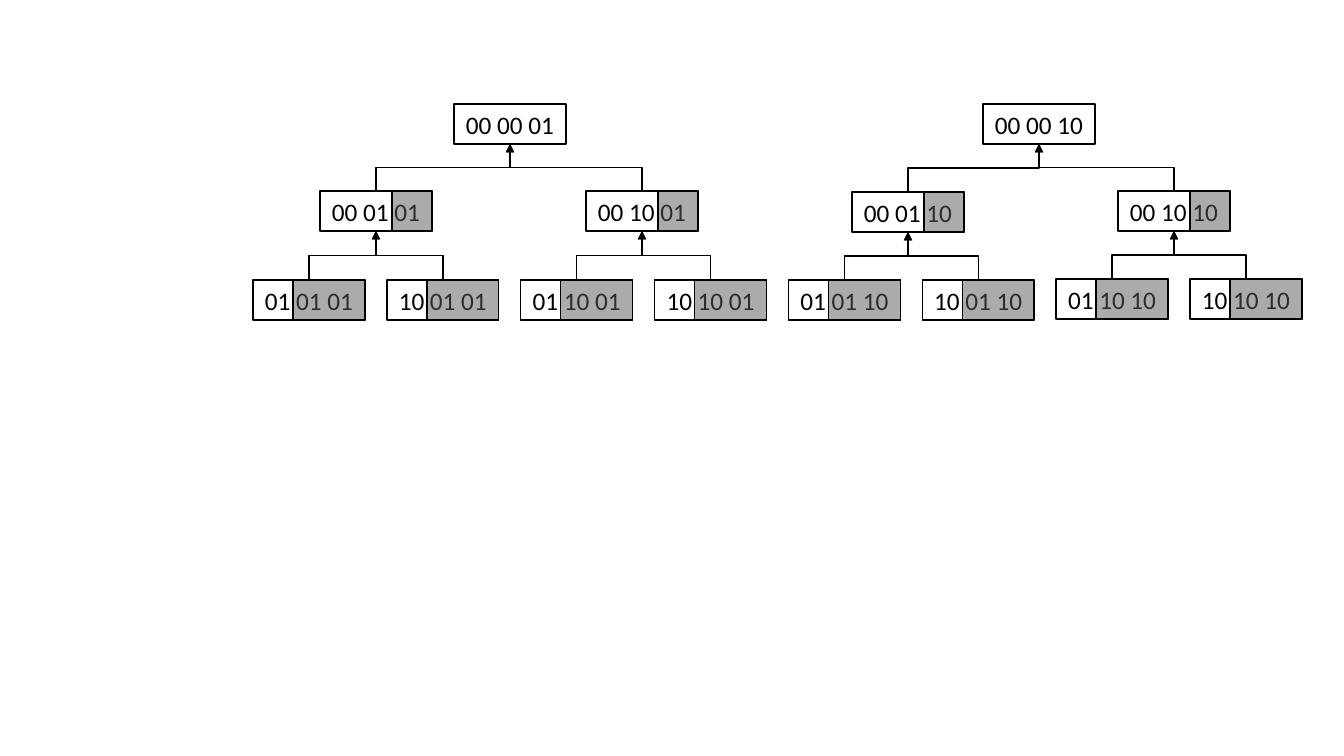
from lxml import etree
from pptx import Presentation
from pptx.dml.color import RGBColor
from pptx.enum.shapes import MSO_CONNECTOR, MSO_SHAPE
from pptx.enum.text import MSO_ANCHOR, PP_ALIGN
from pptx.oxml.ns import qn
from pptx.util import Pt

RECTANGLE = MSO_SHAPE.RECTANGLE
ELBOW = MSO_CONNECTOR.ELBOW
MIDDLE = MSO_ANCHOR.MIDDLE
CENTER = PP_ALIGN.CENTER

# Content: tree levels from roots to leaves
COLORS = {"ink": "000000", "paper": "FFFFFF", "shade": "595959"}
LEVELS = [
    {"labels": ["00 00 01", "00 00 10"],
     "first": 454, "last": 983, "tops": [104] * 2, "shade": 0},
    {"labels": ["00 01 01", "00 10 01", "00 01 10", "00 10 10"],
     "first": 320, "last": 1118, "tops": [191, 191, 192, 191], "shade": 40},
    {"labels": ["01 01 01", "10 01 01", "01 10 01", "10 10 01",
                "01 01 10", "10 01 10", "01 10 10", "10 10 10"],
     "first": 253, "last": 1190, "tops": [280] * 6 + [279] * 2, "shade": 72},
]
NODE_WIDTH, NODE_HEIGHT = 112, 40
EMU_PER_PIXEL = 914400 / 100.8


def emu(pixels):
    return round(pixels * EMU_PER_PIXEL)


def color(name):
    return RGBColor.from_string(COLORS[name])


def add_box(left, top, width, fill):
    box = page.shapes.add_shape(
        RECTANGLE, emu(left), emu(top), emu(width), emu(NODE_HEIGHT))
    box.shadow.inherit = False
    box.fill.solid()
    box.fill.fore_color.rgb = color(fill)
    box.line.color.rgb = color("ink")
    box.line.width = Pt(1)
    return box


def add_node(left, top, label):
    frame = add_box(left, top, NODE_WIDTH, "paper").text_frame
    frame.vertical_anchor = MIDDLE
    para = frame.paragraphs[0]
    para.alignment = CENTER
    span = para.add_run()
    span.text = label
    span.font.name = "Calibri"
    span.font.size = Pt(18)
    span.font.color.rgb = color("ink")


def add_shade(left, top, width):
    shade = add_box(left + NODE_WIDTH - width, top, width, "shade")
    tint = shade.fill._xPr.find(qn("a:solidFill"))[0]
    etree.SubElement(tint, qn("a:alpha")).set("val", "50000")


def add_arrow(child, parent):
    start_x, start_y = child[0] + NODE_WIDTH / 2, child[1]
    end_x, end_y = parent[0] + NODE_WIDTH / 2, parent[1] + NODE_HEIGHT
    center_x, center_y = (start_x + end_x) / 2, (start_y + end_y) / 2
    # A quarter turn makes the elbow leave and arrive vertically
    side = 1 if start_x < end_x else -1
    half_width = side * (start_y - end_y) / 2
    half_height = abs(end_x - start_x) / 2
    arrow = page.shapes.add_connector(
        ELBOW, emu(center_x + half_width), emu(center_y + half_height),
        emu(center_x - half_width), emu(center_y - half_height))
    arrow.line.color.rgb = color("ink")
    arrow.line.width = Pt(1)
    properties = arrow._element.spPr
    turn = 90 if side > 0 else 270
    properties.find(qn("a:xfrm")).set("rot", str(turn * 60000))
    head = etree.SubElement(properties.find(qn("a:ln")), qn("a:tailEnd"))
    head.set("type", "triangle")
    etree.SubElement(properties, qn("a:effectLst"))


deck = Presentation()
deck.slide_width, deck.slide_height = emu(1344), emu(756)
page = deck.slides.add_slide(deck.slide_layouts[6])

# Places: nodes of a level are evenly spread
places = []
for level in LEVELS:
    step = (level["last"] - level["first"]) / (len(level["labels"]) - 1)
    places.append([(level["first"] + step * index, top)
                   for index, top in enumerate(level["tops"])])

# Nodes
for level, spots in zip(LEVELS, places):
    for label, (left, top) in zip(level["labels"], spots):
        add_node(left, top, label)

# Arrows from each child to its parent
for parents, children in zip(places, places[1:]):
    for index, child in enumerate(children):
        add_arrow(child, parents[index // 2])

# Shaded suffixes
for level, spots in zip(LEVELS, places):
    if level["shade"]:
        for left, top in spots:
            add_shade(left, top, level["shade"])

deck.save("out.pptx")
